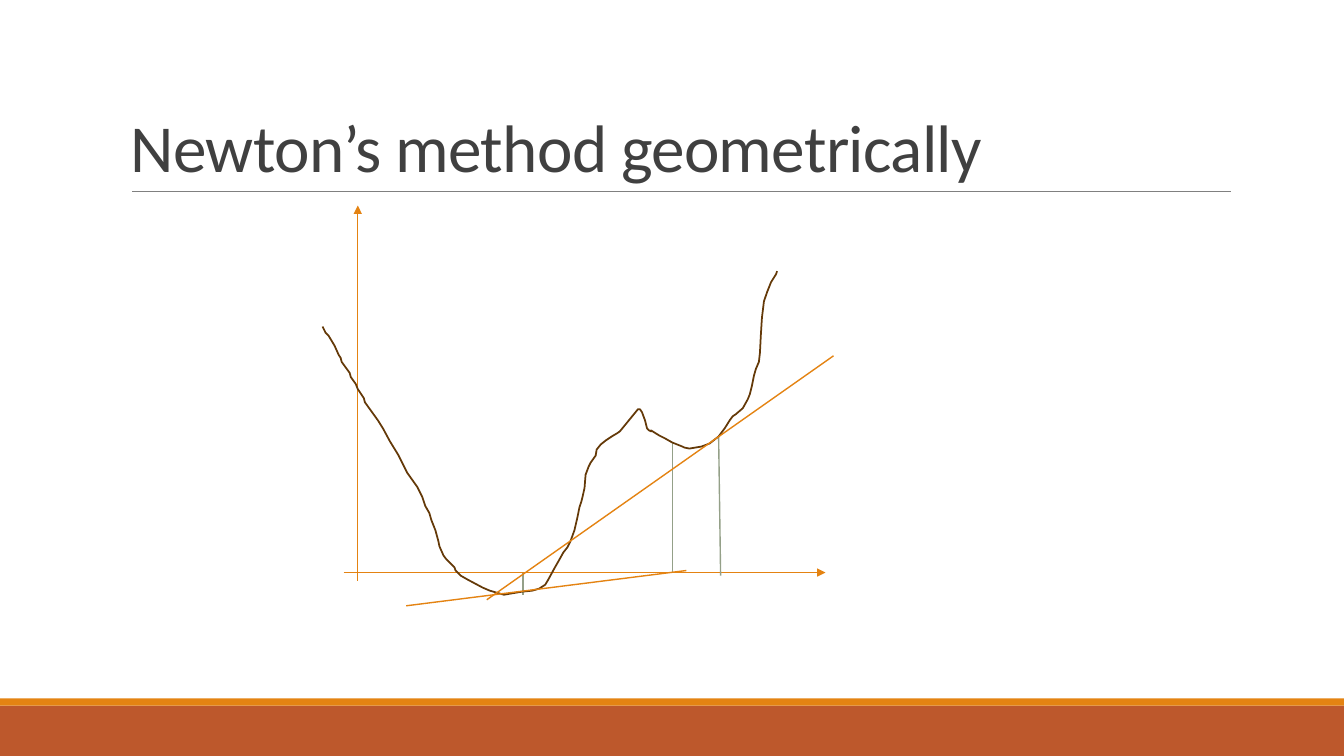
from pptx import Presentation, util as u
from pptx.dml.color import RGBColor
from pptx.enum import shapes, text
from pptx.oxml.ns import qn
from lxml import etree

HEADING = "Newton’s method geometrically"

BANDS = [("rust", 700, 50), ("orange", 693, 7)]
HEADING_RULE = [((131, 190), (1221, 190))]
AXES = [((355, 576), (355, 204)), ((341, 568), (819, 568))]
DROPS = [((713, 433), (715, 571)), ((519, 568), (519, 590)), ((667, 439), (667, 568))]
TANGENTS = [((827, 353), (483, 595)), ((403, 601), (681, 566))]

FUNCTION_CURVE = [
    (320, 324), (323, 330), (326, 333), (332, 343), (336, 352), (338, 355),
    (339, 359), (347, 370), (348, 374), (353, 381), (355, 386), (361, 395),
    (362, 399), (375, 417), (380, 425), (387, 438), (395, 451), (401, 463),
    (404, 469), (414, 483), (417, 489), (419, 493), (422, 502), (426, 509),
    (428, 516), (432, 526), (435, 537), (436, 542), (440, 551), (443, 555),
    (451, 563), (452, 566), (457, 571), (464, 575), (479, 583), (486, 586),
    (500, 590), (518, 587), (528, 586), (535, 584), (541, 580), (544, 575),
    (550, 564), (554, 557), (559, 548), (563, 543), (566, 537), (570, 526),
    (573, 513), (575, 503), (577, 497), (578, 493), (580, 484), (581, 471),
    (584, 463), (586, 459), (591, 452), (592, 446), (596, 441), (601, 437),
    (607, 433), (612, 430), (615, 428), (633, 406), (635, 406), (637, 409),
    (640, 417), (642, 425), (644, 427), (646, 428), (646, 427), (654, 432),
    (660, 435), (667, 439), (677, 443), (679, 444), (684, 445), (696, 443),
    (704, 440), (713, 433), (719, 425), (724, 417), (727, 413), (730, 411),
    (737, 405), (742, 396), (744, 391), (746, 383), (748, 373), (750, 366),
    (753, 359), (754, 350), (755, 331), (756, 315), (758, 299), (761, 290),
    (765, 280), (770, 272), (771, 269),
]

THEME = {
    "rust": "BD582C", "orange": "E48312", "rule": "808080", "drop": "94A088",
    "curve": "643908", "heading": "404040", "font": "Calibri", "heading_size": 48,
}


def length(hundredths):
    return u.Cm(hundredths * 0.0254)


def color(name):
    return RGBColor.from_string(THEME[name])


def draw_lines(slide, segments, ink, width=1, arrow=False):
    for start, end in segments:
        line = slide.shapes.add_connector(
            shapes.MSO_CONNECTOR.STRAIGHT, *map(length, start + end))
        line.line.color.rgb = color(ink)
        line.line.width = u.Pt(width)
        properties = line._element.spPr
        if arrow:
            etree.SubElement(properties.find(qn("a:ln")), qn("a:tailEnd"), type="triangle")
        etree.SubElement(properties, qn("a:effectLst"))


def draw_bands(slide, slide_width):
    for ink, top, height in BANDS:
        band = slide.shapes.add_shape(
            shapes.MSO_SHAPE.RECTANGLE, 0, length(top), slide_width, length(height))
        band.shadow.inherit = False
        band.fill.solid()
        band.fill.fore_color.rgb = color(ink)
        band.line.fill.background()


def draw_heading(slide):
    frame = slide.shapes.add_textbox(*map(length, (120, 31, 1100, 159))).text_frame
    frame.word_wrap = True
    frame.vertical_anchor = text.MSO_ANCHOR.BOTTOM
    frame.text = HEADING
    paragraph = frame.paragraphs[0]
    paragraph.line_spacing = 0.85
    run = paragraph.runs[0]
    run.font.name = THEME["font"]
    run.font.size = u.Pt(THEME["heading_size"])
    run.font.color.rgb = color("heading")
    run._r.get_or_add_rPr().set("spc", "-50")


def draw_curve(slide):
    builder = slide.shapes.build_freeform(*FUNCTION_CURVE[0], scale=length(1))
    builder.add_line_segments(FUNCTION_CURVE[1:], close=False)
    curve = builder.convert_to_shape()
    curve.shadow.inherit = False
    curve.fill.background()
    curve.line.color.rgb = color("curve")
    curve.line.width = u.Pt(1.25)


def main():
    deck = Presentation()
    deck.slide_width, deck.slide_height = u.Cm(33.87), u.Cm(19.05)
    slide = deck.slides.add_slide(deck.slide_layouts[6])
    draw_bands(slide, deck.slide_width)
    draw_lines(slide, HEADING_RULE, "rule", width=0.5)
    draw_heading(slide)
    draw_lines(slide, AXES, "orange", arrow=True)
    draw_lines(slide, DROPS, "drop")
    draw_curve(slide)
    draw_lines(slide, TANGENTS, "orange")
    deck.save("out.pptx")


if __name__ == "__main__":
    main()
